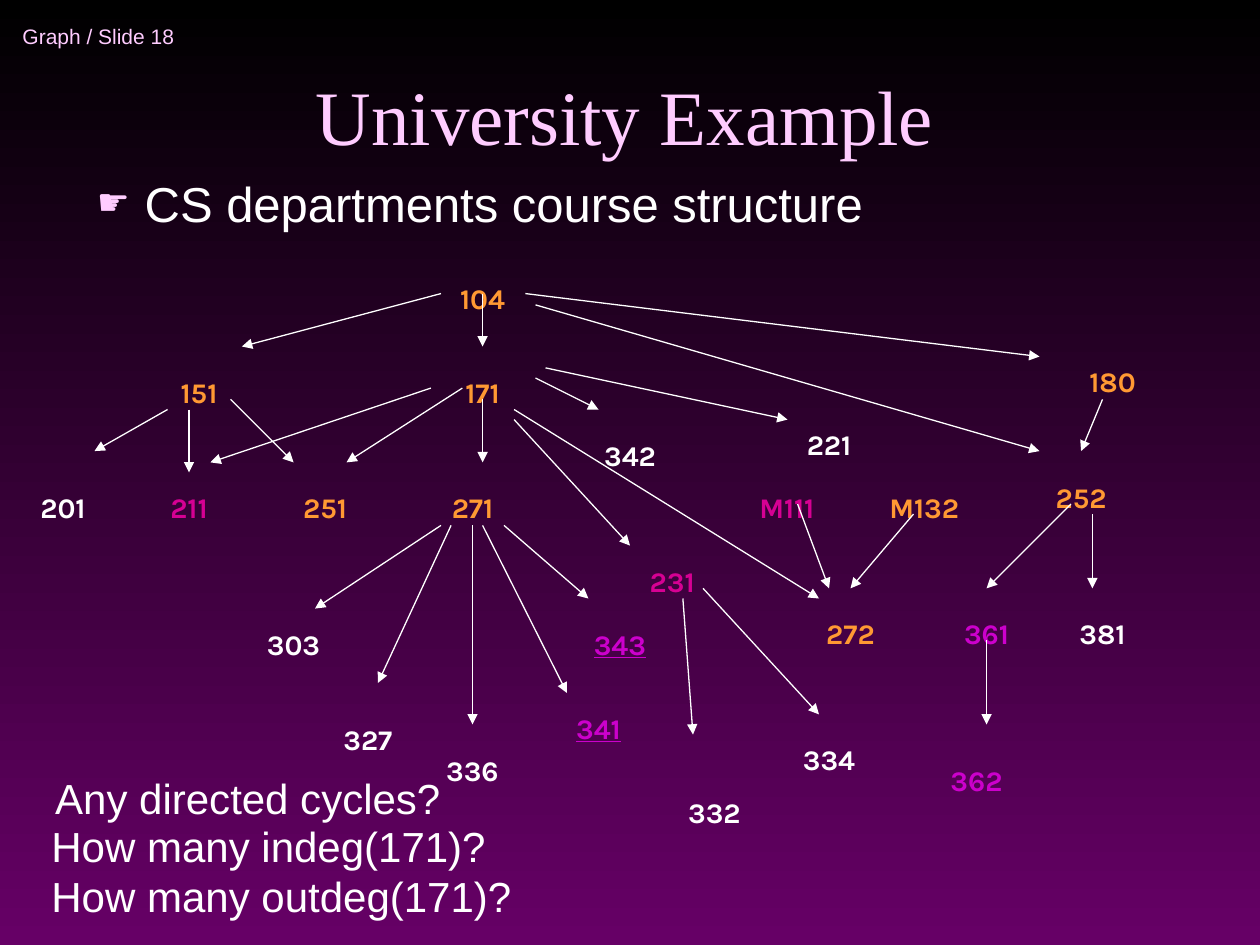
from lxml import etree
from pptx import Presentation
from pptx import util as u
from pptx.dml.color import RGBColor
from pptx.enum import shapes, text
from pptx.oxml.ns import qn

WHITE, PINK, ORANGE = "FFFFFF", "FFCCFF", "FF9933"
MAGENTA, PURPLE = "D60093", "CC00CC"

# Colour -> course: (left, top)
COURSES = {
    ORANGE: {
        "104": (3.33, 1.92), "151": (1.08, 2.67), "171": (3.33, 2.67),
        "180": (8.33, 2.58), "251": (2.08, 3.58), "271": (3.25, 3.58),
        "252": (8.08, 3.5), "M132": (6.67, 3.58), "272": (6.25, 4.58),
    },
    MAGENTA: {"211": (1, 3.58), "M111": (5.58, 3.58), "231": (4.67, 4.17)},
    PURPLE: {
        "343": (4.42, 4.67), "341": (4.25, 5.33),
        "361": (7.33, 4.58), "362": (7.25, 5.75),
    },
    WHITE: {
        "201": (0, 3.58), "221": (6.08, 3.08), "342": (4.5, 3.17),
        "381": (8.25, 4.58), "303": (1.83, 4.67), "327": (2.42, 5.42),
        "336": (3.25, 5.67), "332": (5.17, 6), "334": (6.08, 5.58),
    },
}
WIDE = {"M111", "M132", "231"}
UNDERLINED = {"341", "343"}

# (from x, from y, to x, to y), grouped by the course they leave
ARROWS = [
    # 104
    (3.83, 2.33, 3.83, 2.75), (3.5, 2.33, 1.92, 2.75),
    (4.17, 2.33, 8.25, 2.83), (4.25, 2.42, 8.25, 3.58),
    # 151
    (1.33, 3.25, 0.75, 3.58), (1.5, 3.25, 1.5, 3.75), (1.83, 3.17, 2.33, 3.67),
    # 171
    (3.42, 3.08, 1.67, 3.67), (3.67, 3.08, 2.75, 3.67), (3.83, 3.17, 3.83, 3.67),
    (4.25, 3, 4.75, 3.25), (4.33, 2.92, 6.25, 3.33),
    (4.08, 3.25, 6.5, 4.75), (4.08, 3.33, 5, 4.33),
    # 271
    (3.5, 4.17, 2.5, 4.83), (3.58, 4.17, 3, 5.42), (3.75, 4.17, 3.75, 5.75),
    (3.83, 4.17, 4.5, 5.5), (4, 4.17, 4.67, 4.75),
    # 231
    (5.42, 4.75, 5.5, 5.83), (5.58, 4.67, 6.5, 5.67),
    # M111, M132
    (6.33, 4, 6.58, 4.67), (7.25, 4.08, 6.75, 4.67),
    # 180, 252, 361
    (8.75, 3.17, 8.58, 3.58), (8.5, 4, 7.83, 4.67),
    (8.67, 4.08, 8.67, 4.67), (7.83, 5.08, 7.83, 5.75),
]


def rgb(hex_color):
    return RGBColor.from_string(hex_color)


def set_background(slide, top, bottom):
    fill = slide.background.fill
    fill.gradient()
    fill.gradient_angle = 270
    for stop, color in zip(fill.gradient_stops, (top, bottom)):
        stop.color.rgb = rgb(color)


def add_text(slide, box, content, size, color, font="Arial", wrap=True,
             grow=False, align=None, anchor=text.MSO_ANCHOR.TOP):
    sp = slide.shapes.add_textbox(*map(u.Inches, box))
    tf = sp.text_frame
    tf.text = content
    tf.word_wrap = wrap
    tf.vertical_anchor = anchor
    if grow:
        tf.auto_size = text.MSO_AUTO_SIZE.SHAPE_TO_FIT_TEXT
    for p in tf.paragraphs:
        p.alignment = align
        for r in p.runs:
            r.font.name = font
            r.font.size = u.Pt(size)
            r.font.color.rgb = rgb(color)
    return sp


def add_bullet(p, char, color, percent, indent):
    pPr = p._p.get_or_add_pPr()
    pPr.set("marL", str(u.Inches(indent)))
    pPr.set("indent", str(-u.Inches(indent)))
    buClr = etree.SubElement(pPr, qn("a:buClr"))
    etree.SubElement(buClr, qn("a:srgbClr"), val=color)
    etree.SubElement(pPr, qn("a:buSzPct"), val=str(percent * 1000))
    etree.SubElement(pPr, qn("a:buFont"), typeface="Arial")
    etree.SubElement(pPr, qn("a:buChar"), char=char)


def add_course(slide, label, left, top, color):
    """Add a course number, set as a bold subscript."""
    width = 1.33 if label in WIDE else 1
    sp = add_text(slide, (left, top, width, 0.63), label, 28, color, "Karla",
                  grow=True, align=text.PP_ALIGN.CENTER)
    r = sp.text_frame.paragraphs[0].runs[0]
    r.font.bold = True
    if label in UNDERLINED:
        r.font.underline = True
    r._r.get_or_add_rPr().set("baseline", "-25000")


def add_arrow(slide, ends):
    line = slide.shapes.add_connector(shapes.MSO_CONNECTOR.STRAIGHT,
                                      *map(u.Inches, ends))
    line.line.color.rgb = rgb(WHITE)
    line.line.width = u.Pt(0.75)
    etree.SubElement(line.line._get_or_add_ln(), qn("a:tailEnd"), type="triangle")
    etree.SubElement(line._element.spPr, qn("a:effectLst"))


def main():
    prs = Presentation()
    prs.slide_width, prs.slide_height = u.Inches(10), u.Inches(7.5)
    slide = prs.slides.add_slide(prs.slide_layouts[6])
    set_background(slide, "000000", "660066")

    add_text(slide, (0.08, 0.08, 2.75, 0.42), "Graph / Slide 18", 12, PINK,
             wrap=False, anchor=text.MSO_ANCHOR.MIDDLE)
    add_text(slide, (0.67, 0.25, 8.58, 1.08), "University Example", 44, PINK,
             "Times New Roman", align=text.PP_ALIGN.CENTER,
             anchor=text.MSO_ANCHOR.BOTTOM)
    body = add_text(slide, (0.67, 1.33, 8.58, 5.75),
                    "CS departments course structure", 28, WHITE)
    add_bullet(body.text_frame.paragraphs[0], "☛", PINK, 75, 0.38)

    for color, courses in COURSES.items():
        for label, (left, top) in courses.items():
            add_course(slide, label, left, top, color)
    for ends in ARROWS:
        add_arrow(slide, ends)

    add_text(slide, (0.34, 6.08, 3.4, 0.5), "Any directed cycles?", 24, WHITE,
             wrap=False, grow=True)
    add_text(slide, (0.31, 6.46, 3.9, 0.9),
             "How many indeg(171)?\nHow many outdeg(171)?", 24, WHITE,
             wrap=False, grow=True)
    prs.save("out.pptx")


if __name__ == "__main__":
    main()
